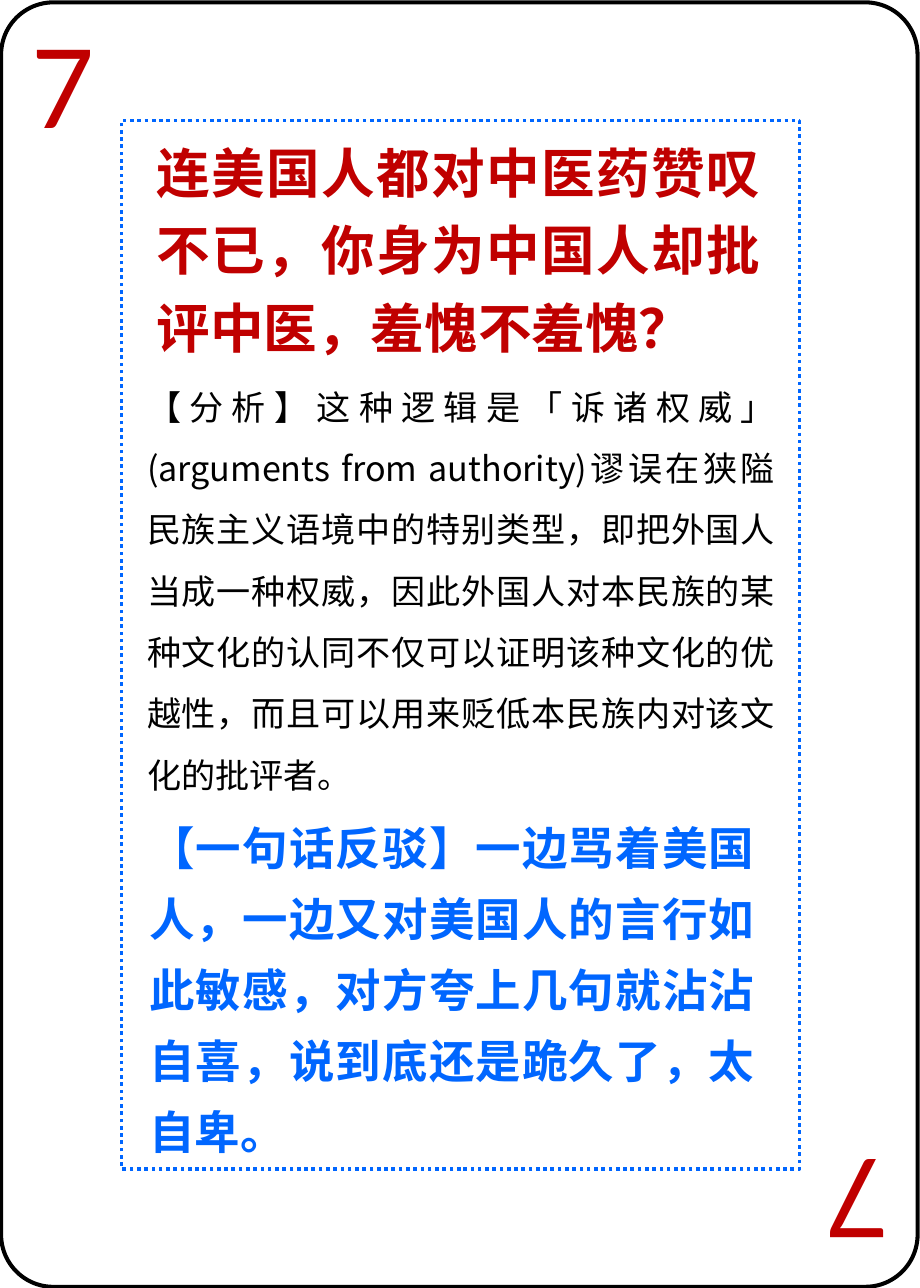
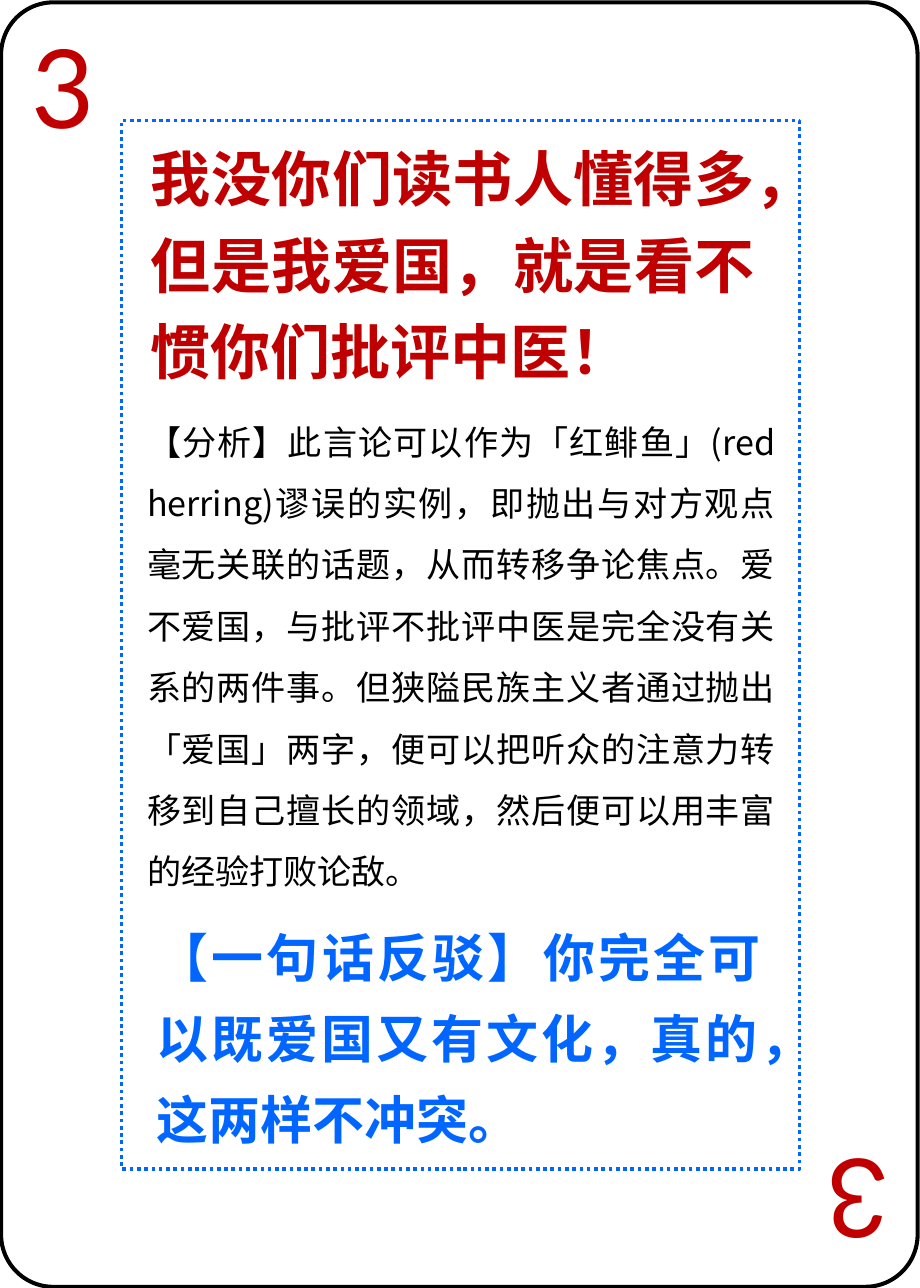
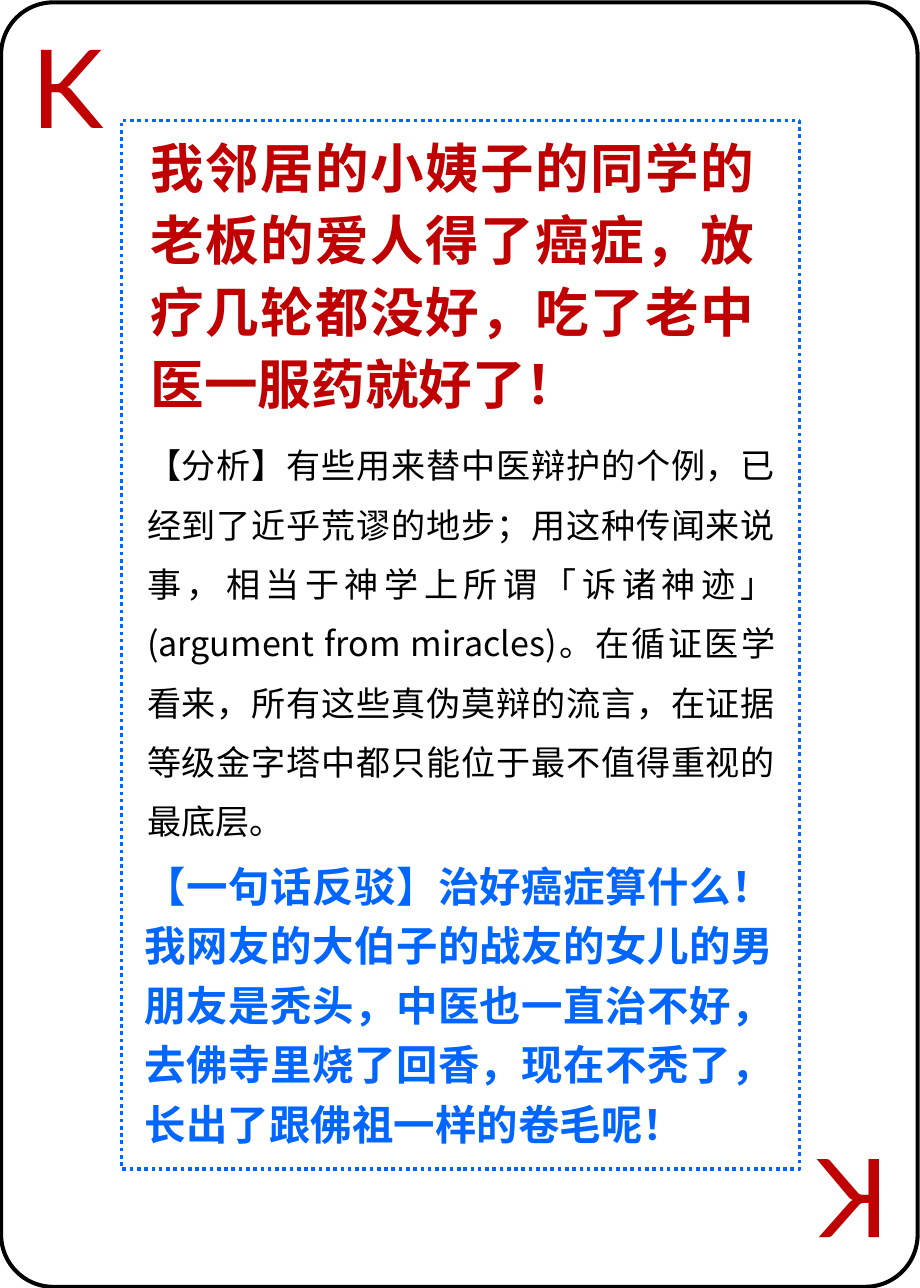
from lxml.etree import SubElement
from pptx import Presentation
from pptx.dml.color import RGBColor
from pptx.enum.dml import MSO_LINE as Dash
from pptx.enum.shapes import MSO_SHAPE as Shape
from pptx.enum.text import MSO_ANCHOR as Anchor, MSO_AUTO_SIZE as Fit, PP_ALIGN as Align
from pptx.oxml.ns import qn
from pptx.util import Inches, Pt

# Shared look
RED, BLUE, BLACK = "C00000", "0066FF", "000000"
SANS, LATIN = "Noto Sans CJK SC", "Lato"
WIDE, HIGH = 7.87, 11.02

# Each text: left, top, width, height, size, line spacing, words
cards = [
    ("7",
     (1.24, 1.04, 5.37, 2.04, 33, 1.2,
      "连美国人都对中医药赞叹不已，你身为中国人却批评中医，羞愧不羞愧？"),
     (1.16, 3.08, 5.57, 3.75, 21, 1.5,
      "【分析】这种逻辑是「诉诸权威」(arguments from authority)谬误在狭隘民族主义语境中的"
      "特别类型，即把外国人当成一种权威，因此外国人对本民族的某种文化的认同不仅可以证明该种"
      "文化的优越性，而且可以用来贬低本民族内对该文化的批评者。"),
     (1.18, 6.83, 5.37, 3.1, 28, 1.3,
      "【一句话反驳】一边骂着美国人，一边又对美国人的言行如此敏感，对方夸上几句就沾沾自喜，"
      "说到底还是跪久了，太自卑。")),
    ("3",
     (1.19, 1.04, 5.37, 2.28, 37, 1.2,
      "我没你们读书人懂得多，但是我爱国，就是看不惯你们批评中医！"),
     (1.16, 3.38, 5.57, 4.28, 21, 1.5,
      "【分析】此言论可以作为「红鲱鱼」(red herring)谬误的实例，即抛出与对方观点毫无关联的"
      "话题，从而转移争论焦点。爱不爱国，与批评不批评中医是完全没有关系的两件事。但狭隘民族"
      "主义者通过抛出「爱国」两字，便可以把听众的注意力转移到自己擅长的领域，然后便可以用丰富的"
      "经验打败论敌。"),
     (1.24, 7.71, 5.37, 2.13, 32, 1.3,
      "【一句话反驳】你完全可以既爱国又有文化，真的，这两样不冲突。")),
    ("K",
     (1.19, 1.04, 5.37, 2.59, 33, 1.12,
      "我邻居的小姨子的同学的老板的爱人得了癌症，放疗几轮都没好，吃了老中医一服药就好了！"),
     (1.16, 3.6, 5.57, 3.63, 21, 1.45,
      "【分析】有些用来替中医辩护的个例，已经到了近乎荒谬的地步；用这种传闻来说事，相当于神学上"
      "所谓「诉诸神迹」(argument from miracles)。在循证医学看来，所有这些真伪莫辩的流言，"
      "在证据等级金字塔中都只能位于最不值得重视的最底层。"),
     (1.14, 7.23, 5.57, 2.63, 25.5, 1.2,
      "【一句话反驳】治好癌症算什么！我网友的大伯子的战友的女儿的男朋友是秃头，中医也一直治不好，"
      "去佛寺里烧了回香，现在不秃了，长出了跟佛祖一样的卷毛呢！")),
]


def color(code):
    return RGBColor.from_string(code)


def write(box, words, size, hue, face=SANS, bold=False, gap=None, align=Align.JUSTIFY):
    frame = box.text_frame
    frame.text = words
    frame.word_wrap = True
    frame.auto_size = Fit.NONE
    frame.vertical_anchor = Anchor.TOP
    para = frame.paragraphs[0]
    para.alignment = align
    para.line_spacing = gap
    font = para.font
    font.size, font.bold, font.name = Pt(size), bold, face
    font.color.rgb = color(hue)
    props = para._p.pPr.find(qn("a:defRPr"))
    SubElement(props, qn("a:ea")).set("typeface", face)


deck = Presentation()
deck.slide_width, deck.slide_height = Inches(WIDE), Inches(HIGH)

for rank, claim, study, reply in cards:
    slide = deck.slides.add_slide(deck.slide_layouts[5])
    shapes = slide.shapes

    # Rank in two opposite corners
    for left, top, turn in ((0.17, 0.12, 0), (6.95, 9.67, 180)):
        mark = shapes.add_textbox(Inches(left), Inches(top), Inches(0.76), Inches(1.23))
        mark.rotation = turn
        write(mark, rank, 67.2, RED, face=LATIN, align=Align.LEFT)

    # Claim as title, then analysis and reply
    for part, hue, bold in ((claim, RED, True), (study, BLACK, False), (reply, BLUE, True)):
        *place, size, gap, words = part
        left, top, width, height = map(Inches, place)
        if part is claim:
            box = shapes.title
            box.left, box.top, box.width, box.height = left, top, width, height
        else:
            box = shapes.add_textbox(left, top, width, height)
        write(box, words, size, hue, bold=bold, gap=gap)

    # Dotted frame and card edge
    for kind, place, hue, weight, dash in (
        (Shape.RECTANGLE, (1.04, 1.03, 5.8, 8.97), BLUE, 2.25, Dash.ROUND_DOT),
        (Shape.ROUNDED_RECTANGLE, (0.01, 0.02, 7.84, 10.99), BLACK, 2.5, Dash.SOLID),
    ):
        edge = shapes.add_shape(kind, *map(Inches, place))
        edge.shadow.inherit = False
        edge.fill.background()
        edge.line.color.rgb = color(hue)
        edge.line.width = Pt(weight)
        edge.line.dash_style = dash
    edge.adjustments[0] = 0.057

deck.save("out.pptx")
